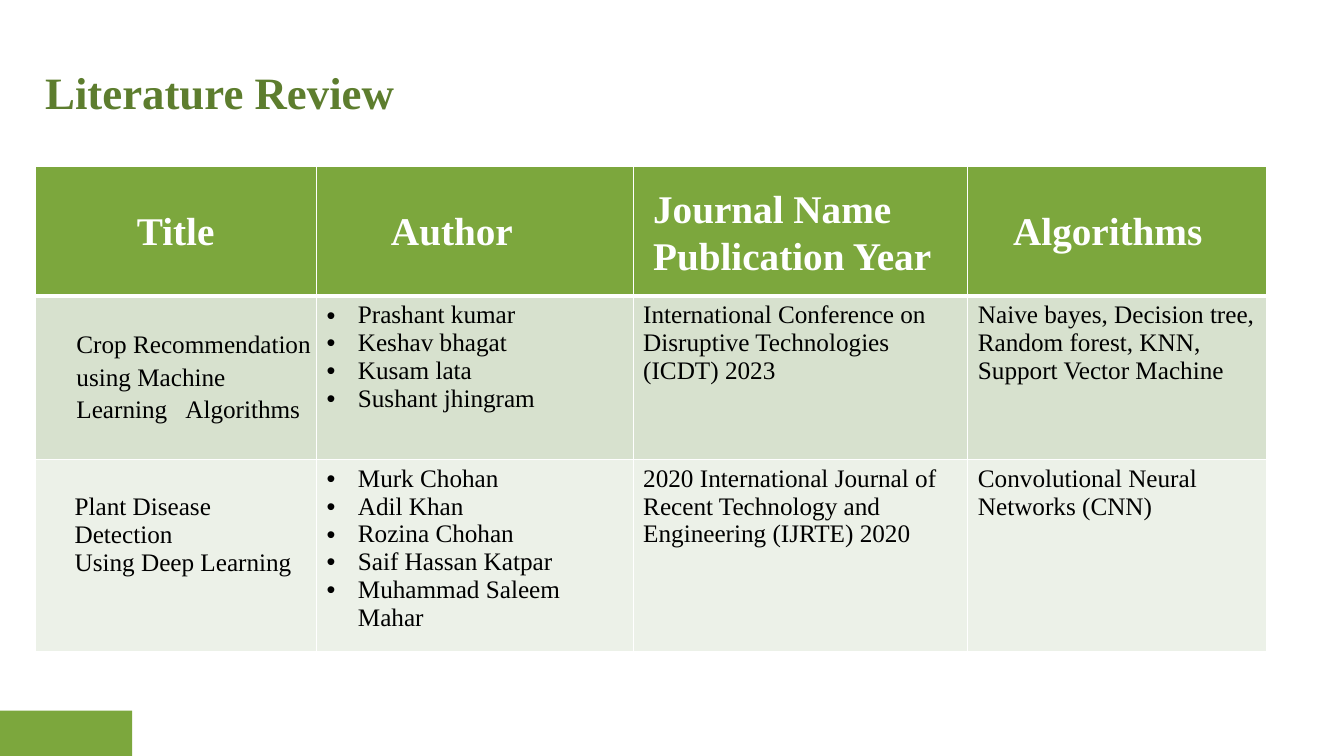
from dataclasses import dataclass

from lxml import etree
from pptx import Presentation
from pptx.dml.color import RGBColor
from pptx.enum.shapes import MSO_SHAPE
from pptx.oxml.ns import qn
from pptx.util import Inches, Pt

RECTANGLE = MSO_SHAPE.RECTANGLE
FONT = "Times New Roman"
GREEN, DARK_GREEN = "7CA73D", "5D7D2E"
WHITE, BLACK = "FFFFFF", "000000"
ROW_FILLS = (GREEN, "D7E1CE", "ECF1E8")

# Table grid in inches
TABLE_LEFT, TABLE_TOP = 0.35, 1.65
COLUMNS = (2.79, 3.14, 3.32, 2.96)
ROWS = (1.29, 1.62, 1.9)


@dataclass
class Label:
    """Text placed over the grid, offset from a column's left and a row's top."""
    text: str
    column: int
    row: int
    dx: float
    dy: float
    width: float
    height: float
    size: int = 28
    color: str = WHITE
    bold: bool = True
    line_spacing: float = 1.0
    top_margin: float = 0.05
    tab: float = 0.0


@dataclass
class Entry:
    """Paragraphs of one table cell."""
    lines: tuple[str, ...]
    bulleted: bool = False
    indent: float = 0.0
    top_margin: float = 0.05


LABELS = (
    Label("Literature Review", 0, 0, 0, -1.64, 6.58, 1.51, 32, DARK_GREEN, top_margin=0.63),
    Label("Title", 0, 0, 0.91, 0.35, 2.01, 0.57),
    Label("Author", 1, 0, 0.64, 0.35, 2.1, 0.57),
    Label("Journal Name Publication Year", 2, 0, 0.1, 0.13, 3.14, 1.04),
    Label("Algorithms", 3, 0, 0.35, 0.35, 2.61, 0.57),
    Label("Crop Recommendation using Machine Learning\tAlgorithms", 0, 1, 0.31, 0.25,
          2.61, 1.01, 18, BLACK, False, 1.07, tab=1.08),
)

ENTRIES = {
    (1, 1): Entry(("Prashant kumar", "Keshav bhagat", "Kusam lata", "Sushant jhingram"), True),
    (1, 2): Entry(("International Conference on Disruptive Technologies (ICDT) 2023",)),
    (1, 3): Entry(("Naive bayes, Decision tree, Random forest, KNN, Support Vector Machine",)),
    (2, 0): Entry(("Plant Disease Detection", "Using Deep Learning"), indent=0.29, top_margin=0.33),
    (2, 1): Entry(("Murk Chohan", "Adil Khan", "Rozina Chohan", "Saif Hassan Katpar",
                   "Muhammad Saleem Mahar"), True),
    (2, 2): Entry(("2020 International Journal of Recent Technology and Engineering (IJRTE) 2020",)),
    (2, 3): Entry(("Convolutional Neural Networks (CNN)",)),
}


def rgb(color: str) -> RGBColor:
    return RGBColor.from_string(color)


def paint(target, color: str) -> None:
    target.fill.solid()
    target.fill.fore_color.rgb = rgb(color)


def style(paragraph, size: int, color: str, bold: bool = False) -> None:
    font = paragraph.font
    font.name, font.size, font.bold = FONT, Pt(size), bold
    font.color.rgb = rgb(color)


def add_border(cell, side: str, points: float) -> None:
    line = etree.SubElement(cell._tc.get_or_add_tcPr(), qn(f"a:ln{side}"), w=str(Pt(points)))
    fill = etree.SubElement(line, qn("a:solidFill"))
    etree.SubElement(fill, qn("a:srgbClr"), val=WHITE)


def indent(paragraph, left: float, bulleted: bool) -> None:
    properties = paragraph._p.get_or_add_pPr()
    properties.set("marL", str(Inches(left)))
    properties.set("indent", str(Inches(-left if bulleted else 0)))
    if bulleted:
        etree.SubElement(properties, qn("a:buFont"), typeface="Arial")
        etree.SubElement(properties, qn("a:buChar"), char="•")


def fill_cell(cell, entry: Entry) -> None:
    cell.margin_top = Inches(entry.top_margin)
    cell.text_frame.text = "\n".join(entry.lines)
    for paragraph in cell.text_frame.paragraphs:
        indent(paragraph, 0.31 if entry.bulleted else entry.indent, entry.bulleted)
        style(paragraph, 18, BLACK)


def add_review_table(slide) -> None:
    table = slide.shapes.add_table(
        len(ROWS), len(COLUMNS), Inches(TABLE_LEFT), Inches(TABLE_TOP),
        Inches(sum(COLUMNS)), Inches(sum(ROWS))).table
    for column, width in zip(table.columns, COLUMNS):
        column.width = Inches(width)
    for r, height in enumerate(ROWS):
        table.rows[r].height = Inches(height)
        for c in range(len(COLUMNS)):
            cell = table.cell(r, c)
            for side in "LRTB":
                heavy = (r, side) in ((0, "B"), (1, "T"))
                add_border(cell, side, 3 if heavy else 1)
            paint(cell, ROW_FILLS[r])
            if (r, c) in ENTRIES:
                fill_cell(cell, ENTRIES[r, c])


def add_label(slide, label: Label) -> None:
    left = TABLE_LEFT + sum(COLUMNS[:label.column]) + label.dx
    top = TABLE_TOP + sum(ROWS[:label.row]) + label.dy
    frame = slide.shapes.add_textbox(
        Inches(left), Inches(top), Inches(label.width), Inches(label.height)).text_frame
    frame.word_wrap = True
    frame.margin_top = Inches(label.top_margin)
    frame.text = label.text
    paragraph = frame.paragraphs[0]
    paragraph.line_spacing = label.line_spacing
    if label.tab:
        stops = etree.SubElement(paragraph._p.get_or_add_pPr(), qn("a:tabLst"))
        etree.SubElement(stops, qn("a:tab"), pos=str(Inches(label.tab)), algn="l")
    style(paragraph, label.size, label.color, label.bold)


def main() -> None:
    deck = Presentation()
    deck.slide_width, deck.slide_height = Inches(13.33), Inches(7.5)
    slide = deck.slides.add_slide(deck.slide_layouts[6])

    # Corner block
    corner = slide.shapes.add_shape(RECTANGLE, 0, Inches(7.05), Inches(1.31), Inches(0.45))
    corner.shadow.inherit = False
    paint(corner, GREEN)
    corner.line.fill.background()

    # Table, then the heading and the labels over it
    add_review_table(slide)
    for label in LABELS:
        add_label(slide, label)

    deck.save("out.pptx")


if __name__ == "__main__":
    main()
